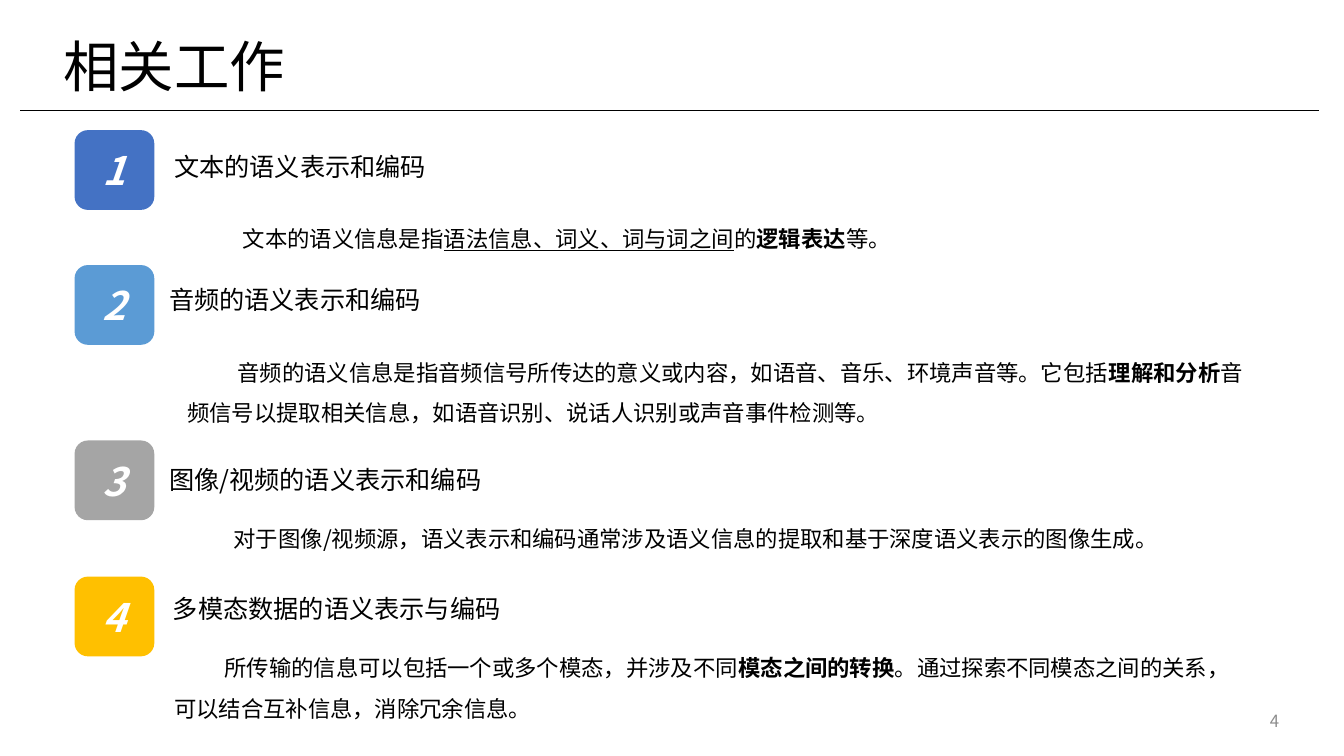
import dataclasses

import lxml.etree
import pptx
import pptx.dml.color
import pptx.enum.lang
import pptx.enum.shapes
import pptx.enum.text
import pptx.oxml.ns
import pptx.util

Cm = pptx.util.Cm
ALIGN = pptx.enum.text.PP_ALIGN
ANCHOR = pptx.enum.text.MSO_ANCHOR
PLAIN, BOLD, UNDERLINED = "plain", "bold", "underlined"


@dataclasses.dataclass(frozen=True)
class Theme:
    font: str = "Noto Sans CJK SC"
    ink: str = "000000"
    on_tile: str = "FFFFFF"
    muted: str = "8C8C8C"
    tiles: tuple = ("4472C4", "5B9BD5", "A5A5A5", "FFC000")
    title_size: float = 39.6
    number_size: float = 28
    heading_size: float = 18
    body_size: float = 16
    page_size: float = 12


def rgb(code):
    return pptx.dml.color.RGBColor.from_string(code)


class SlideBuilder:
    def __init__(self, slide, theme):
        self.slide = slide
        self.theme = theme

    def style_run(self, run, size, color, bold=False, italic=False, underline=False):
        font = run.font
        font.name = self.theme.font
        font.size = pptx.util.Pt(size)
        font.color.rgb = rgb(color)
        font.bold, font.italic, font.underline = bold, italic, underline
        font.language_id = pptx.enum.lang.MSO_LANGUAGE_ID.SIMPLIFIED_CHINESE
        # East Asian typeface follows the Latin one
        latin = run._r.rPr.find(pptx.oxml.ns.qn("a:latin"))
        east_asian = lxml.etree.Element(pptx.oxml.ns.qn("a:ea"), typeface=self.theme.font)
        latin.addnext(east_asian)

    def text(self, box, parts, size, color=None, spacing=1.0, indent=0,
             align=ALIGN.LEFT, anchor=ANCHOR.MIDDLE):
        frame = self.slide.shapes.add_textbox(*map(Cm, box)).text_frame
        frame.word_wrap = True
        frame.vertical_anchor = anchor
        paragraph = frame.paragraphs[0]
        paragraph.alignment = align
        paragraph.line_spacing = spacing
        if indent:
            paragraph._p.get_or_add_pPr().set("indent", str(Cm(indent)))
        for words, style in parts:
            run = paragraph.add_run()
            run.text = words
            self.style_run(run, size, color or self.theme.ink,
                           bold=style == BOLD, underline=style == UNDERLINED)

    def number_tile(self, left, top, side, number, color):
        tile = self.slide.shapes.add_shape(
            pptx.enum.shapes.MSO_SHAPE.ROUNDED_RECTANGLE,
            Cm(left), Cm(top), Cm(side), Cm(side))
        tile.shadow.inherit = False
        tile.fill.solid()
        tile.fill.fore_color.rgb = rgb(color)
        tile.line.fill.background()
        tile.text_frame.text = str(number)
        tile.text_frame.vertical_anchor = ANCHOR.MIDDLE
        paragraph = tile.text_frame.paragraphs[0]
        paragraph.alignment = ALIGN.CENTER
        self.style_run(paragraph.runs[0], self.theme.number_size,
                       self.theme.on_tile, bold=True, italic=True)

    def rule(self, left, right, top):
        line = self.slide.shapes.add_connector(
            pptx.enum.shapes.MSO_CONNECTOR.STRAIGHT,
            Cm(left), Cm(top), Cm(right), Cm(top))
        line.line.color.rgb = rgb(self.theme.ink)
        line.line.width = pptx.util.Pt(0.5)
        lxml.etree.SubElement(line._element.spPr, pptx.oxml.ns.qn("a:effectLst"))


# Tile top, heading and its box, body box, body line spacing, body parts
TOPICS = [
    (3.28, "文本的语义表示和编码", (4.14, 3.58, 7.19, 1.14),
     (4.6, 5.41, 18.06, 3.76), 1.2,
     [("文本的语义信息是指", PLAIN), ("语法信息、词义、词与词之间", UNDERLINED),
      ("的", PLAIN), ("逻辑表达", BOLD), ("等。", PLAIN)]),
    (6.68, "音频的语义表示和编码", (4.01, 6.93, 7.19, 1.14),
     (4.47, 8.59, 27.43, 3.76), 1.5,
     [("音频的语义信息是指音频信号所传达的意义或内容，如语音、音乐、环境声音等。它包括", PLAIN),
      ("理解和分析", BOLD),
      ("音频信号以提取相关信息，如语音识别、说话人识别或声音事件检测等。", PLAIN)]),
    (11.1, "图像/视频的语义表示和编码", (4.01, 11.48, 9.75, 1.14),
     (4.37, 12.78, 27.2, 3.53), 1.5,
     [("对于图像/视频源，语义表示和编码通常涉及语义信息的提取和基于深度语义表示的图像生成。", PLAIN)]),
    (14.53, "多模态数据的语义表示与编码", (4.11, 14.73, 12.19, 1.14),
     (4.14, 16.03, 27.43, 3.0), 1.5,
     [("所传输的信息可以包括一个或多个模态，并涉及不同", PLAIN),
      ("模态之间的转换", BOLD),
      ("。通过探索不同模态之间的关系，可以结合互补信息，消除冗余信息。", PLAIN)]),
]


def main():
    deck = pptx.Presentation()
    deck.slide_width, deck.slide_height = Cm(33.87), Cm(19.05)
    theme = Theme()
    builder = SlideBuilder(deck.slides.add_slide(deck.slide_layouts[6]), theme)

    # Page number, rule and title
    builder.text((24.87, 17.65, 7.62, 1.02), [("4", PLAIN)], theme.page_size,
                 color=theme.muted, align=ALIGN.RIGHT)
    builder.rule(0.51, 33.25, 2.79)
    builder.text((1.35, 1.02, 29.21, 1.45), [("相关工作", PLAIN)],
                 theme.title_size, spacing=0.9)

    # Numbered topics
    for number, (topic, color) in enumerate(zip(TOPICS, theme.tiles), start=1):
        tile_top, heading, heading_box, body_box, spacing, body = topic
        builder.number_tile(1.88, tile_top, 2.01, number, color)
        builder.text(heading_box, [(heading, PLAIN)], theme.heading_size, spacing=1.1)
        builder.text(body_box, body, theme.body_size, spacing=spacing,
                     indent=1.27, anchor=ANCHOR.TOP)

    deck.save("out.pptx")


if __name__ == "__main__":
    main()
